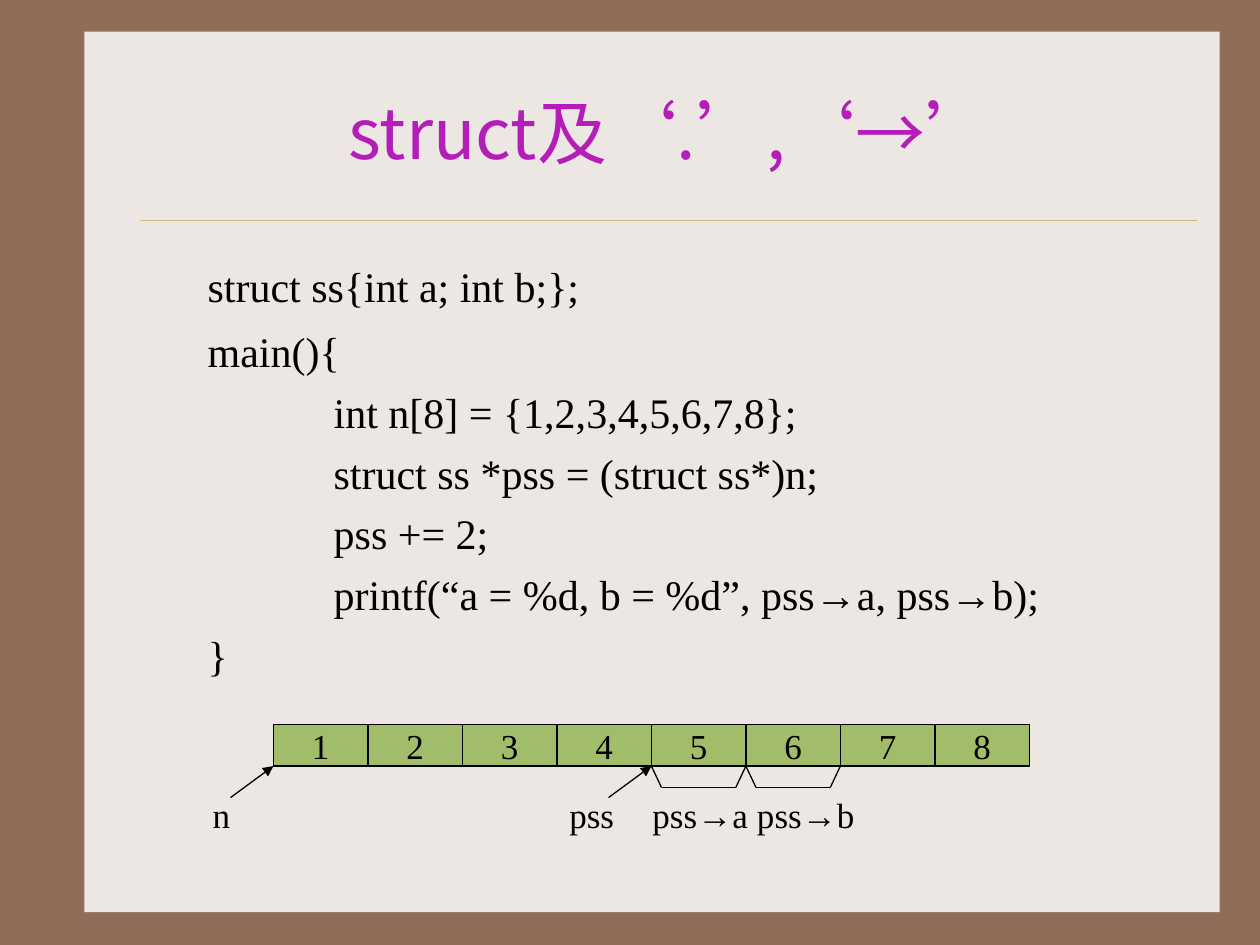
"""Slide on struct members, with a memory row showing where n and pss point."""
from lxml import etree
from pptx import Presentation
from pptx.dml.color import RGBColor
from pptx.enum.shapes import MSO_CONNECTOR, MSO_SHAPE
from pptx.enum.text import MSO_ANCHOR, PP_ALIGN
from pptx.oxml.ns import qn
from pptx.util import Inches, Pt

BROWN = RGBColor(0x90, 0x6D, 0x58)
PAPER = RGBColor(0xED, 0xE7, 0xE3)
SAND = RGBColor(0xCB, 0xBD, 0x83)
PURPLE = RGBColor(0xB5, 0x1D, 0xB9)
GREEN = RGBColor(0xA1, 0xBD, 0x69)
BLACK = RGBColor(0, 0, 0)
SERIF, SANS, CJK = "Times New Roman", "Arial", "Noto Sans CJK SC"

prs = Presentation()
prs.slide_width, prs.slide_height = Inches(10), Inches(7.5)
slide = prs.slides.add_slide(prs.slide_layouts[6])
slide.background.fill.solid()
slide.background.fill.fore_color.rgb = BROWN
shapes = slide.shapes


def add_line(start, end, color=BLACK, width=0.74, arrow=False):
    line = shapes.add_connector(MSO_CONNECTOR.STRAIGHT, *map(Inches, start + end))
    line.line.color.rgb = color
    line.line.width = Pt(width)
    properties = line.line._get_or_add_ln()
    if arrow:
        etree.SubElement(properties, qn("a:tailEnd"), type="triangle")
    etree.SubElement(properties.getparent(), qn("a:effectLst"))


def write_code(paragraph, text, size):
    paragraph.font.size = Pt(size)
    paragraph.font.color.rgb = BLACK
    for index, part in enumerate(text.split("→")):
        for piece, font in (("→" if index else "", SANS), (part, SERIF)):
            if piece:
                run = paragraph.add_run()
                run.text = piece
                run.font.name = font


paper = shapes.add_shape(MSO_SHAPE.RECTANGLE, Inches(0.67), Inches(0.25), Inches(9.01), Inches(6.99))
paper.shadow.inherit = False
paper.fill.solid()
paper.fill.fore_color.rgb = PAPER
paper.line.fill.background()
add_line((1.11, 1.75), (9.5, 1.75), SAND, 0.26)

title = shapes.add_textbox(Inches(1.17), Inches(0.42), Inches(8.33), Inches(1.25)).text_frame
title.word_wrap = True
title.vertical_anchor = MSO_ANCHOR.MIDDLE
heading = title.paragraphs[0]
heading.alignment = PP_ALIGN.CENTER
heading.font.size = Pt(40)
heading.font.color.rgb = PURPLE
for text, font in (("struct及", CJK), ("‘", SERIF), (".", CJK), ("’", SERIF),
                   (",", CJK), ("‘", SERIF), ("→", SANS), ("’", SERIF)):
    run = heading.add_run()
    run.text = text
    run.font.name = font
    run_properties = run.font._element
    run_properties.set("lang", "zh-CN")
    etree.SubElement(run_properties, qn("a:ea"), typeface=CJK)

CODE = (
    (0.38, 6, "struct ss{int a; int b;};"),
    (0.38, 8, "main(){"),
    (1.38, 6, "int n[8] = {1,2,3,4,5,6,7,8};"),
    (1.38, 6, "struct ss *pss = (struct ss*)n;"),
    (1.38, 6, "pss += 2;"),
    (1.38, 6, "printf(“a = %d, b = %d”, pss→a, pss→b);"),
    (0.38, 6, "}"),
)
code = shapes.add_textbox(Inches(1.17), Inches(1.92), Inches(8.33), Inches(3.67)).text_frame
code.word_wrap = True
code.margin_top = Inches(0.15)
for index, (indent, space, text) in enumerate(CODE):
    paragraph = code.add_paragraph() if index else code.paragraphs[0]
    paragraph.space_before = Pt(space)
    paragraph._p.get_or_add_pPr().set("marL", str(Inches(indent)))
    write_code(paragraph, text, 24)

ROW_LEFT, ROW_TOP, CELL_WIDTH, CELL_HEIGHT = 2.17, 5.75, 0.75, 0.33
ROW_BOTTOM = ROW_TOP + CELL_HEIGHT
for index in range(8):
    cell = shapes.add_shape(MSO_SHAPE.RECTANGLE, Inches(ROW_LEFT + index * CELL_WIDTH),
                            Inches(ROW_TOP), Inches(CELL_WIDTH), Inches(CELL_HEIGHT))
    cell.shadow.inherit = False
    cell.fill.solid()
    cell.fill.fore_color.rgb = GREEN
    cell.line.color.rgb = BLACK
    cell.line.width = Pt(0.74)
    cell.text_frame.word_wrap = False
    cell.text_frame.vertical_anchor = MSO_ANCHOR.MIDDLE
    number = cell.text_frame.paragraphs[0]
    number.alignment = PP_ALIGN.CENTER
    write_code(number, str(index + 1), 20)

for pointed_cell in (0, 4):
    tip = ROW_LEFT + pointed_cell * CELL_WIDTH
    add_line((tip - 0.34, 6.33), (tip, ROW_BOTTOM), arrow=True)

for member_cell in (4, 5):
    left = ROW_LEFT + member_cell * CELL_WIDTH
    right = left + CELL_WIDTH
    corners = ((left, ROW_BOTTOM), (left + 0.08, 6.25), (right - 0.08, 6.25), (right, ROW_BOTTOM))
    for start, end in zip(corners, corners[1:]):
        add_line(start, end)

for left, width, text in ((1.59, 0.36, "n"), (4.42, 0.6, "pss"),
                          (5.08, 1, "pss→a"), (5.91, 1, "pss→b")):
    label = shapes.add_textbox(Inches(left), Inches(6.25), Inches(width), Inches(0.44)).text_frame
    label.word_wrap = True
    write_code(label.paragraphs[0], text, 20)

prs.save("out.pptx")
